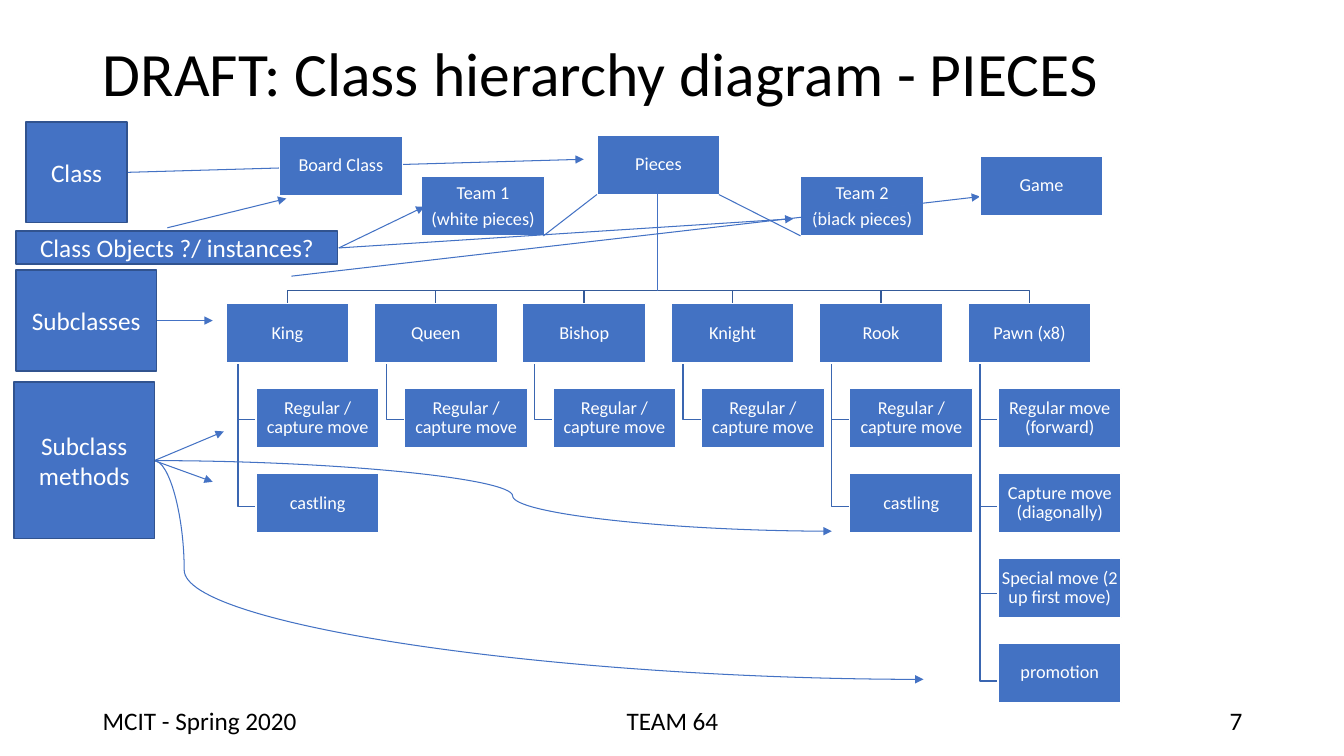
from typing import NamedTuple
from lxml.etree import SubElement as Sub
from pptx import Presentation
from pptx.dml.color import RGBColor as Rgb
from pptx.enum.shapes import MSO_CONNECTOR as Conn, MSO_SHAPE as Form
from pptx.enum.text import MSO_ANCHOR as Anchor, MSO_AUTO_SIZE as Auto, PP_ALIGN as Align
from pptx.oxml.ns import qn
from pptx.util import Inches, Pt

BLACK = Rgb(0x00, 0x00, 0x00)
WHITE = Rgb(0xFF, 0xFF, 0xFF)
NODE = Rgb(0x43, 0x72, 0xC3)
BLUE = Rgb(0x44, 0x72, 0xC4)
EDGE = Rgb(0x31, 0x53, 0x8F)
STEM = Rgb(0x3A, 0x66, 0xB1)
TREE = Rgb(0x34, 0x5A, 0x99)

WIDE, HIGH = 1.22, 0.59
LEFT, TOP = 2.24, 3.01
COL, ROW = 1.472, 0.843
INDENT, TRUNK = 0.3, 0.12
ELBOW, DROP = 4.16, 0.865
ROOT, BAR, FORK = 6.52, 2.88, 2.76


class Look(NamedTuple):
    fill: Rgb
    line: Rgb
    size: float
    pad: tuple[float, float]
    lead: float
    gap: float


class Box(NamedTuple):
    text: str
    x: float
    y: float
    w: float = WIDE
    h: float = HIGH


class Link(NamedTuple):
    x1: float
    y1: float
    x2: float
    y2: float
    arrow: bool = True
    bend: int = 0


class Piece(NamedTuple):
    name: str
    moves: list[str]


class Note(NamedTuple):
    text: str
    x: float
    w: float
    align: Align


CELL = Look(NODE, WHITE, 13, (0.01, 0.01), 0.9, 4.5)
LABEL = Look(BLUE, EDGE, 18, (0.1, 0.05), 1.0, 0)

STEP = "Regular / capture move"
PIECES = [
    Piece("King", [STEP, "castling"]),
    Piece("Queen", [STEP]),
    Piece("Bishop", [STEP]),
    Piece("Knight", [STEP]),
    Piece("Rook", [STEP, "castling"]),
    Piece("Pawn (x8)", ["Regular move (forward)", "Capture move (diagonally)",
                        "Special move (2 up first move)", "promotion"]),
]
TEAMS = [
    Box("Pieces", 5.92, 1.34),
    Box("Team 1\n(white pieces)", 4.18, 1.75),
    Box("Team 2\n(black pieces)", 7.94, 1.75),
]
LABELS = [
    Box("Class", 0.26, 1.21, 1, 1),
    Box("Subclasses", 0.16, 2.68, 1.39, 1),
    Box("Subclass\nmethods", 0.14, 3.79, 1.39, 1.55),
    Box("Class Objects ?/ instances?", 0.16, 2.29, 3.19, 0.33),
]
LINKS = [
    Link(ROOT, 1.87, ROOT, 2.89, False),
    Link(5.92, 1.93, 5.39, 2.34, False),
    Link(7.13, 1.93, 7.94, 2.34, False),
    Link(1.26, 1.71, 5.79, 1.58),
    Link(1.55, 3.18, 2.11, 3.18),
    Link(1.53, 4.57, 2.22, 4.28),
    Link(1.53, 4.57, 2.11, 4.78),
    Link(1.53, 4.57, 9.16, 6.74, bend=3900),
    Link(1.53, 4.57, 8.25, 5.27, bend=52900),
    Link(3.36, 2.46, 4.21, 2.05),
    Link(3.36, 2.46, 7.87, 2.17),
]
LATE = [
    Link(1.66, 2.26, 2.84, 1.97),
    Link(2.89, 2.74, 9.72, 1.95),
]
NOTES = [
    Note("MCIT - Spring 2020", 0.92, 3, Align.LEFT),
    Note("TEAM 64", 4.42, 4.5, Align.CENTER),
    Note("7", 9.42, 3, Align.RIGHT),
]

deck = Presentation()
deck.slide_width, deck.slide_height = Inches(13.33), Inches(7.5)
slide = deck.slides.add_slide(deck.slide_layouts[5])
shapes = slide.shapes


def write(frame, text: str, size: float, color: Rgb, align: Align,
          pad: tuple[float, float] = (0.1, 0.05), lead: float = 1.0, gap: float = 0) -> None:
    frame.text = text
    frame.word_wrap = True
    frame.auto_size = Auto.NONE
    frame.margin_left = frame.margin_right = Inches(pad[0])
    frame.margin_top = frame.margin_bottom = Inches(pad[1])
    for i, para in enumerate(frame.paragraphs):
        para.alignment = align
        para.line_spacing = lead
        para.space_before = Pt(gap if i else 0)
        para.font.name, para.font.size = "Calibri", Pt(size)
        para.font.color.rgb = color


def draw(box: Box, look: Look) -> None:
    rect = shapes.add_shape(Form.RECTANGLE, *map(Inches, box[1:]))
    rect.shadow.inherit = False
    rect.fill.solid()
    rect.fill.fore_color.rgb = look.fill
    rect.line.color.rgb, rect.line.width = look.line, Pt(1)
    rect.text_frame.vertical_anchor = Anchor.MIDDLE
    write(rect.text_frame, box.text, look.size, WHITE, Align.CENTER,
          look.pad, look.lead, look.gap)


def trace(points: list[tuple[float, float]], color: Rgb) -> None:
    first, *rest = [(Inches(x), Inches(y)) for x, y in points]
    pen = shapes.build_freeform(*first)
    pen.add_line_segments(rest, close=False)
    bent = pen.convert_to_shape()
    bent.shadow.inherit = False
    bent.fill.background()
    bent.line.color.rgb, bent.line.width = color, Pt(1)


def join(link: Link) -> None:
    kind = Conn.CURVE if link.bend else Conn.STRAIGHT
    wire = shapes.add_connector(kind, *map(Inches, link[:4]))
    wire.line.color.rgb, wire.line.width = BLUE, Pt(0.75)
    props = wire._element.spPr
    if link.arrow:
        Sub(wire.line._get_or_add_ln(), qn("a:tailEnd"), type="triangle")
    if link.bend:
        guides = props.find(qn("a:prstGeom")).get_or_add_avLst()
        Sub(guides, qn("a:gd"), name="adj1", fmla=f"val {link.bend}")
    Sub(props, qn("a:effectLst"))


title = shapes.title
title.left, title.top, title.width, title.height = map(Inches, (0.92, 0.03, 11.5, 1.45))
title.text_frame.vertical_anchor = Anchor.MIDDLE
write(title.text_frame, "DRAFT: Class hierarchy diagram - PIECES", 44, BLACK,
      Align.LEFT, lead=0.9)

for note in NOTES:
    area = shapes.add_textbox(*map(Inches, (note.x, 6.95, note.w, 0.4)))
    write(area.text_frame, note.text, 18, BLACK, note.align)

for col, piece in enumerate(PIECES):
    x = LEFT + col * COL
    mid, stem = x + WIDE / 2, x + TRUNK
    trace([(ROOT, FORK), (ROOT, BAR), (mid, BAR), (mid, TOP)], TREE)
    for row in range(len(piece.moves)):
        y = ELBOW + row * DROP
        trace([(stem, TOP + HIGH), (stem, y), (x + INDENT, y)], STEM)

for team in TEAMS:
    draw(team, CELL)
for col, piece in enumerate(PIECES):
    x = LEFT + col * COL
    draw(Box(piece.name, x, TOP), CELL)
    for row, move in enumerate(piece.moves, 1):
        draw(Box(move, x + INDENT, TOP + row * ROW), CELL)

for link in LINKS:
    join(link)
for label in LABELS:
    draw(label, LABEL)
draw(Box("Board Class", 2.77, 1.35), CELL)
for link in LATE:
    join(link)
draw(Box("Game", 9.72, 1.55), CELL)

deck.save("out.pptx")
